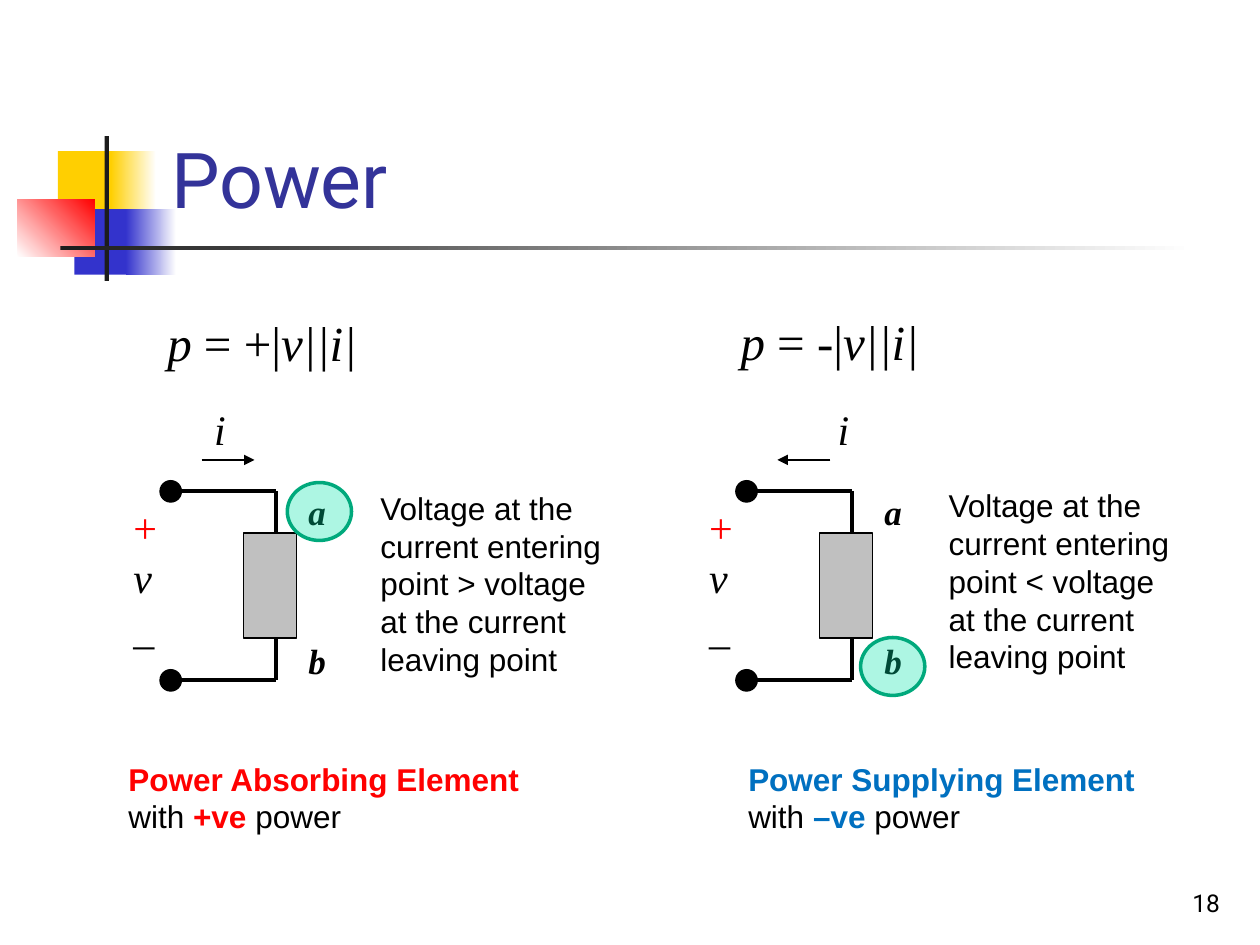
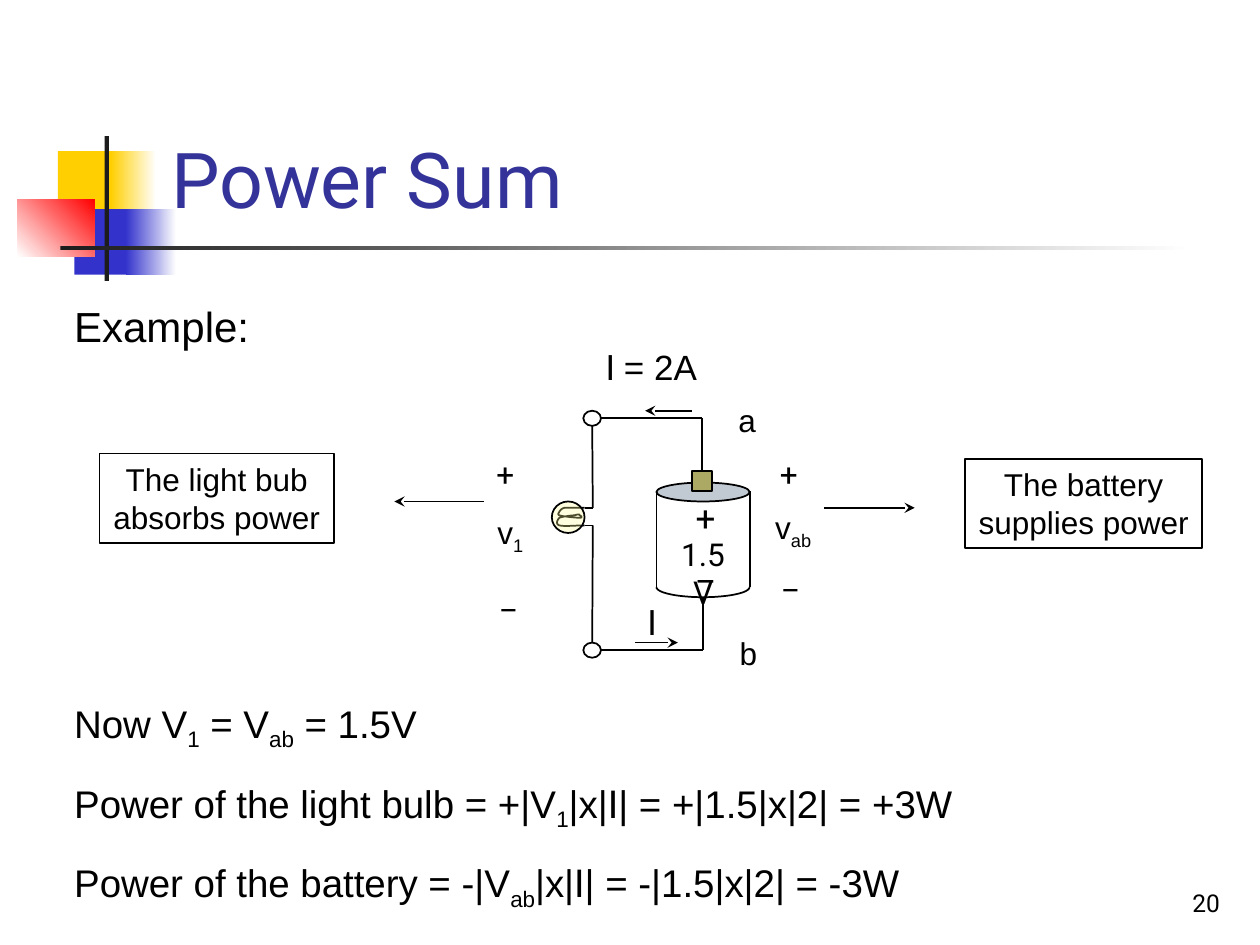
from dataclasses import dataclass, replace
from math import cos, pi, sin
from typing import NamedTuple

from lxml import etree
from pptx import Presentation
from pptx.dml.color import RGBColor
from pptx.enum.shapes import MSO_CONNECTOR, MSO_SHAPE
from pptx.enum.text import MSO_ANCHOR, MSO_AUTO_SIZE, PP_ALIGN
from pptx.oxml.ns import qn
from pptx.util import Inches, Pt

RECT, OVAL = MSO_SHAPE.RECTANGLE, MSO_SHAPE.OVAL
STRAIGHT = MSO_CONNECTOR.STRAIGHT
LEFT, CENTER, RIGHT = PP_ALIGN.LEFT, PP_ALIGN.CENTER, PP_ALIGN.RIGHT
TOP, BOTTOM = MSO_ANCHOR.TOP, MSO_ANCHOR.BOTTOM
FIT = MSO_AUTO_SIZE.SHAPE_TO_FIT_TEXT

WIDTH, HEIGHT = Inches(10), Inches(7.5)
COLUMN, ROW = WIDTH / 100, HEIGHT / 75


@dataclass(frozen=True)
class Style:
    font: str
    size: float
    color: str = "000000"
    bold: bool = False
    italic: bool = False
    sub: bool = False


@dataclass(frozen=True)
class Theme:
    black: str = "000000"
    white: str = "FFFFFF"
    ink: str = "1C1C1C"
    yellow: str = "FFCF01"
    blue: str = "3333CC"
    red: str = "FF0000"
    supply: str = "0070C0"
    element: str = "C0C0C0"
    mark: str = "00E4A8"
    mark_line: str = "00A97C"
    battery_top: str = "8495A9"
    battery_cap: str = "ACA964"
    bulb: str = "FFFF99"
    title: Style = Style("Roboto", 44, "333399")
    number: Style = Style("Roboto", 14)
    formula: Style = Style("Times New Roman", 28)
    symbol: Style = Style("Times New Roman", 24)
    node: Style = Style("Times New Roman", 20, bold=True, italic=True)
    example: Style = Style("Arial", 24)
    result: Style = Style("Arial", 22)
    current: Style = Style("Roboto", 20)
    label: Style = Style("Arial", 18)
    sign: Style = Style("Roboto", 18)


T = Theme()


class Point(NamedTuple):
    x: float
    y: float

    def emu(self) -> tuple:
        return round(self.x * COLUMN), round(self.y * ROW)


class Box(NamedTuple):
    left: float
    top: float
    width: float
    height: float

    def emu(self) -> tuple:
        return Point(self.left, self.top).emu() + Point(self.width, self.height).emu()


class Run(NamedTuple):
    text: str
    style: Style


class Block(NamedTuple):
    box: Box
    fill: str
    fade_to: str = ""
    angle: float = 0


class Case(NamedTuple):
    left: float
    formula_box: Box
    sign: str
    arrow: tuple
    current_left: float
    note_at: Point
    relation: str
    mark: Box
    caption_box: Box
    kind: str
    power: str
    color: str


class Label(NamedTuple):
    box: Box
    runs: tuple


def rgb(color: str) -> RGBColor:
    return RGBColor.from_string(color)


def write(sp, paras, align=LEFT, wrap=True, anchor=TOP, spacing=None, before=0) -> None:
    tf = sp.text_frame
    tf.word_wrap = wrap
    tf.vertical_anchor = anchor
    if not wrap:
        tf.auto_size = FIT
    for i, runs in enumerate(paras):
        p = tf.add_paragraph() if i else tf.paragraphs[0]
        p.alignment = align
        if spacing:
            p.line_spacing = spacing
        if i and before:
            p.space_before = Pt(before)
        p.text = runs[0].text
        for run in runs[1:]:
            p.add_run().text = run.text
        for r, run in zip(p.runs, runs):
            style, font = run.style, r.font
            font.name, font.size = style.font, Pt(style.size)
            font.bold, font.italic = style.bold, style.italic
            font.color.rgb = rgb(style.color)
            if style.sub:
                r._r.get_or_add_rPr().set("baseline", "-25000")


def add_text(s, box: Box, *paras, **options) -> None:
    write(s.shapes.add_textbox(*box.emu()), paras, **options)


def add_block(s, kind, box: Box, fill: str, line: str = "", width: float = 1, opacity: int = 100):
    sp = s.shapes.add_shape(kind, *box.emu())
    sp.shadow.inherit = False
    sp.fill.solid()
    sp.fill.fore_color.rgb = rgb(fill)
    if opacity < 100:
        color = sp._element.spPr.find(qn("a:solidFill"))[0]
        etree.SubElement(color, qn("a:alpha")).set("val", str(opacity * 1000))
    if line:
        sp.line.color.rgb = rgb(line)
        sp.line.width = Pt(width)
    else:
        sp.line.fill.background()
    return sp


def add_line(s, start: Point, end: Point, width: float = 1, head: str = ""):
    cxn = s.shapes.add_connector(STRAIGHT, *start.emu(), *end.emu())
    cxn.line.color.rgb = rgb(T.black)
    cxn.line.width = Pt(width)
    if head:
        etree.SubElement(cxn.line._get_or_add_ln(), qn("a:tailEnd")).set("type", head)
    etree.SubElement(cxn._element.spPr, qn("a:effectLst"))
    return cxn


def add_wire(s, *points: Point, width: float = 1) -> list:
    return [add_line(s, a, b, width) for a, b in zip(points, points[1:])]


def add_curve(s, points: list) -> None:
    start, *rest = [p.emu() for p in points]
    builder = s.shapes.build_freeform(*start)
    builder.add_line_segments(rest, close=False)
    sp = builder.convert_to_shape()
    sp.shadow.inherit = False
    sp.fill.background()
    sp.line.color.rgb = rgb(T.black)
    sp.line.width = Pt(1)


def bezier(a: Point, b: Point, c: Point, d: Point, steps: int = 8) -> list:
    def at(t: float) -> Point:
        weights = (1 - t) ** 3, 3 * t * (1 - t) ** 2, 3 * t * t * (1 - t), t ** 3
        return Point(*(sum(w * v for w, v in zip(weights, axis)) for axis in zip(a, b, c, d)))
    return [at(i / steps) for i in range(1, steps + 1)]


BAND = (
    Block(Box(4.6, 12, 4.8, 5.2), T.yellow),
    Block(Box(8.8, 12, 3.6, 5.2), T.yellow, T.white),
    Block(Box(5.9, 16.6, 4.6, 5.2), T.blue),
    Block(Box(10, 16.6, 4, 5.2), T.blue, T.white),
    Block(Box(1.4, 15.8, 6.1, 4.6), T.white, T.red, 45),
    Block(Box(8.3, 10.8, 0.35, 11.5), T.ink),
    Block(Box(4.8, 19.5, 90, 0.35), T.ink, T.white),
)


def add_slide(prs, title: str, number: str):
    s = prs.slides.add_slide(prs.slide_layouts[6])
    for block in BAND:
        sp = add_block(s, RECT, block.box, block.fill)
        if block.fade_to:
            sp.fill.gradient()
            sp.fill.gradient_angle = block.angle
            for stop, color, place in zip(sp.fill.gradient_stops, (block.fill, block.fade_to), (0, 1)):
                stop.color.rgb = rgb(color)
                stop.position = place
    add_text(s, Box(12.6, 2.3, 85.2, 16), [Run(title, T.title)], anchor=BOTTOM)
    add_text(s, Box(77, 68.3, 20.8, 5), [Run(number, T.number)], align=RIGHT, anchor=BOTTOM)
    return s


CASES = (
    Case(12.7, Box(11.6, 24.3, 18.4, 5.7), "+", (16, 20.2), 16, Point(29.2, 38.3), ">",
         Box(22.8, 38.3, 5.1, 4.6), Box(9.2, 59.8, 37.5, 10.1), "Absorbing", "+ve ", T.red),
    Case(58.4, Box(55, 24.2, 21.7, 5.7), "-", (65.9, 61.7), 65.5, Point(74.3, 38.1), "<",
         Box(68.3, 50.6, 5.1, 4.6), Box(58.4, 59.8, 33.5, 10.1), "Supplying", "–ve ", T.supply),
)


def draw_case(s, case: Case) -> None:
    x, dot = case.left, 1.7
    wire_x = x + 9.2
    italic = replace(T.symbol, italic=True)
    add_block(s, RECT, Box(x + 6.65, 42.3, 4.2, 8.35), T.element, T.black, 0.75)
    for y, side in ((39, 42.3), (54, 50.7)):
        add_wire(s, Point(x + 0.85, y), Point(wire_x, y), Point(wire_x, side), width=2.25)
        add_block(s, OVAL, Box(x, y - dot / 2, dot, dot), T.black, T.black, 0.75)
    add_text(s, Box(x - 3.1, 39.3, 3.9, 13.1), [Run("+", replace(T.symbol, color=T.red))],
             [Run("v", italic)], [Run("_", T.symbol)], wrap=False)
    start, end = case.arrow
    add_line(s, Point(start, 36.5), Point(end, 36.5), 1.5, "triangle")
    add_text(s, Box(case.current_left, 31.5, 2.9, 5), [Run("i", italic)], wrap=False)
    slanted = replace(T.formula, italic=True)
    add_text(s, case.formula_box, [Run("p", slanted), Run(f" = {case.sign}|", T.formula),
                                   Run("v||i|", slanted)], align=CENTER)
    for name, y in (("a", 38.4), ("b", 50.3)):
        add_text(s, Box(x + 10.8, y, 3.4, 4.4), [Run(name, T.node)], wrap=False)
    note = f"Voltage at the current entering point {case.relation} voltage at the current leaving point"
    add_text(s, Box(*case.note_at, 20.1, 16.2), [Run(note, T.label)])
    add_block(s, OVAL, case.mark, T.mark, T.mark_line, 2, 32)
    strong = replace(T.label, color=case.color, bold=True)
    add_text(s, case.caption_box, [Run(f"Power {case.kind} Element ", strong), Run("with ", T.label),
                                   Run(case.power, strong), Run("power", T.label)])


FILAMENT = [Point(*p) for p in (
    (46.4, 40.3), (45.8, 40.3), (45.2, 40.3), (44.8, 40.3), (44.5, 40.4), (44.5, 40.5), (44.4, 40.6),
    (44.4, 40.7), (44.2, 40.8), (44.4, 40.9), (44.7, 41), (45.8, 41.1), (46, 41.1),
    (46.3, 41.1), (46.1, 40.9), (46, 40.9), (46, 40.8), (45.9, 40.8), (45.6, 40.9),
    (45.4, 40.9), (44.6, 41), (44.4, 41.1), (44.2, 41.3), (44.1, 41.6), (44.4, 41.7),
    (44.8, 41.8), (45.6, 41.7), (46.4, 41.7))]

SMALL = replace(T.label, sub=True)
LABELS = (
    Label(Box(54.2, 38.9, 3.6, 4.4), (Run("+", T.current),)),
    Label(Box(54.3, 42.8, 3.4, 4.4), (Run("_", T.current),)),
    Label(Box(50.2, 47.2, 3.1, 4.4), (Run("I", T.current),)),
    Label(Box(38.4, 40.2, 4.2, 4), (Run("v", T.label), Run("1", SMALL))),
    Label(Box(60.4, 39.8, 5.1, 4), (Run("v", T.label), Run("ab", SMALL))),
    Label(Box(57.6, 31.3, 3.4, 4), (Run("a", T.label),)),
    Label(Box(57.7, 49.8, 3.4, 4), (Run("b", T.label),)),
    Label(Box(60.9, 35.6, 3.4, 4), (Run("+", T.sign),)),
    Label(Box(38.4, 35.6, 3.4, 4), (Run("+", T.sign),)),
    Label(Box(61.1, 43.8, 3.3, 4), (Run("_", T.sign),)),
    Label(Box(38.7, 45.4, 3.3, 4), (Run("_", T.sign),)),
)
ARROWS = (
    (Point(54.9, 32.6), Point(51.2, 32.6)),
    (Point(50.4, 51), Point(53.8, 51)),
    (Point(65.4, 40.3), Point(72.6, 40.3)),
    (Point(38.4, 39.8), Point(31.3, 39.8)),
)
NOTES = (
    (Box(76.6, 36.4, 18.8, 7.1), ("The battery", "supplies power")),
    (Box(7.9, 36, 18.6, 7.1), ("The light bub", "absorbs power")),
)


def draw_battery(s) -> None:
    left, right, top, bottom = 52.1, 59.5, 39, 46.6
    middle, radius = (left + right) / 2, (right - left) / 2
    add_block(s, OVAL, Box(left, 38.3, right - left, 1.5), T.battery_top, T.black, opacity=50)
    for x in (left, right):
        add_line(s, Point(x, top), Point(x, bottom))
    add_curve(s, [Point(middle + radius * cos(i * pi / 24), bottom + 0.8 * sin(i * pi / 24))
                  for i in range(25)])
    cap = add_block(s, RECT, Box(54.9, 37.4, 1.6, 1.6), T.battery_cap, T.black)
    feed = add_wire(s, Point(55.7, 37.4), Point(55.7, 33.2), Point(47.7, 33.2))
    feed[0].begin_connect(cap, 0)
    add_wire(s, Point(47.7, 51.6), Point(55.8, 51.6), Point(55.8, 47.4))
    add_text(s, Box(52, 42, 7.6, 4), [Run("1.5 V", T.sign)], align=CENTER)


def draw_bulb(s) -> None:
    curve = FILAMENT[:1]
    for i in range(0, len(FILAMENT) - 1, 3):
        curve += bezier(*FILAMENT[i:i + 4])
    add_curve(s, curve)
    add_block(s, OVAL, Box(43.8, 39.8, 2.6, 2.5), T.bulb, T.black, opacity=30)
    for terminal, y, edge in ((32.6, 40.3, 33.8), (51, 41.7, 51)):
        add_wire(s, Point(46.4, y), Point(47.05, y), Point(47, edge))
        add_block(s, OVAL, Box(46.3, terminal, 1.4, 1.2), T.white, T.black)


def draw_sum(s) -> None:
    low, roman = replace(T.result, sub=True), replace(T.result, font="Roboto")

    def power(of: str, sign: str, index: str) -> list:
        return [Run(f"Power of the {of} = {sign}|V", T.result), Run(index, low), Run("|x|", T.result),
                Run("I", roman), Run(f"| = {sign}|1.5|x|2| = {sign}3W", T.result)]

    add_text(s, Box(4.9, 23.8, 30, 5), [Run("Example:", T.example)], spacing=0.9)
    add_text(s, Box(4.9, 55.1, 90.5, 16.6),
             [Run("Now V", T.result), Run("1", low), Run(" = V", T.result), Run("ab", low),
              Run(" = 1.5V", T.result)],
             power("light bulb", "+", "1"), power("battery", "-", "ab"), spacing=0.9, before=18.6)
    draw_battery(s)
    draw_bulb(s)
    add_text(s, Box(46.4, 26.9, 10.6, 4.4),
             [Run("I ", T.current), Run("= 2A", replace(T.current, font="Arial"))], align=CENTER)
    for label in LABELS:
        add_text(s, label.box, label.runs, align=CENTER, wrap=False)
    for start, end in ARROWS:
        add_line(s, start, end, head="stealth")
    for box, lines in NOTES:
        sp = add_block(s, RECT, box, T.white, T.black, opacity=50)
        write(sp, [[Run(line, T.label)] for line in lines], align=CENTER, wrap=False)


def main() -> None:
    prs = Presentation()
    prs.slide_width, prs.slide_height = WIDTH, HEIGHT
    s = add_slide(prs, "Power", "18")
    for case in CASES:
        draw_case(s, case)
    draw_sum(add_slide(prs, "Power Sum", "20"))
    prs.save("out.pptx")


if __name__ == "__main__":
    main()
